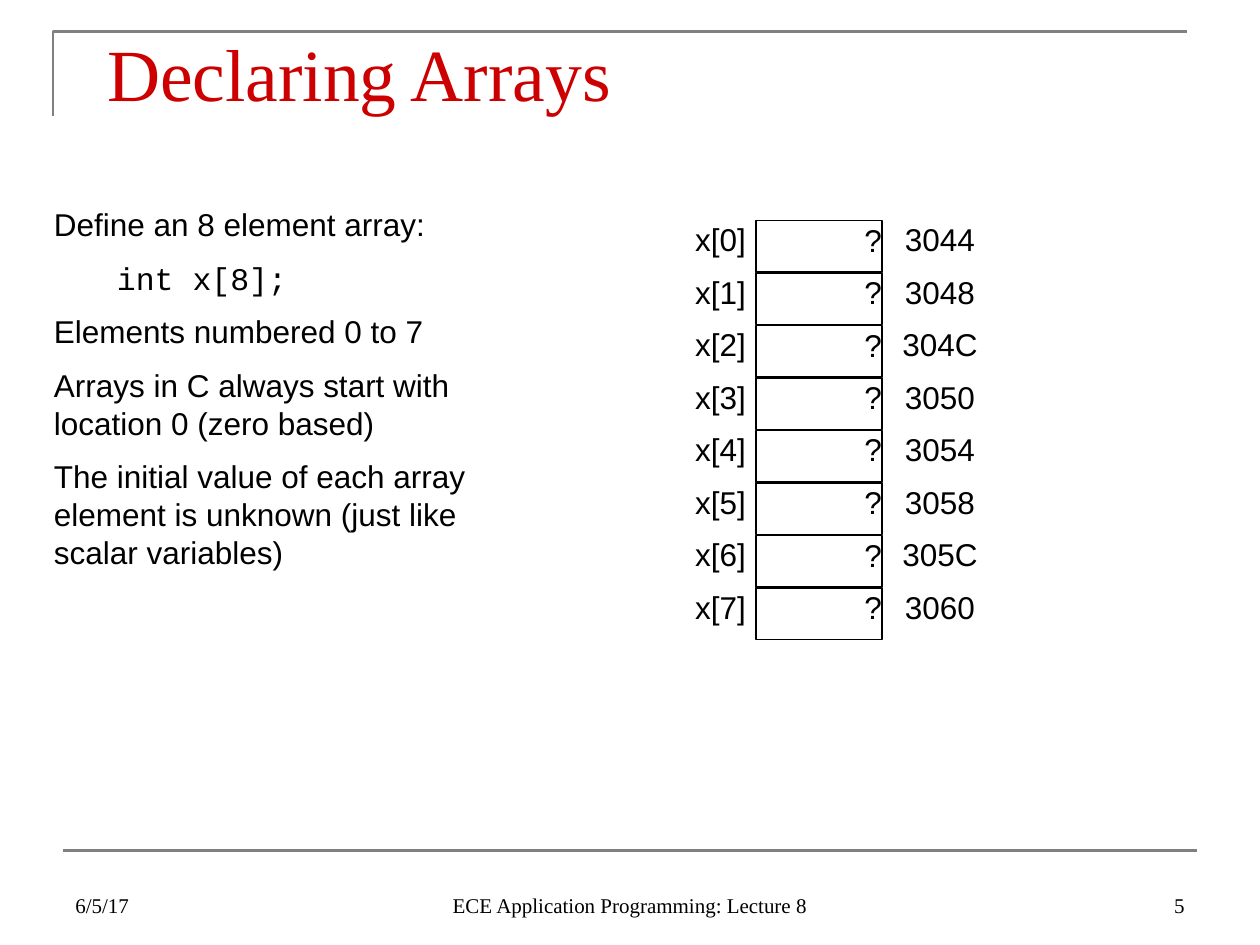
from lxml import etree
from pptx import Presentation
from pptx.dml.color import RGBColor
from pptx.enum.shapes import MSO_CONNECTOR, MSO_SHAPE
from pptx.enum.text import MSO_ANCHOR, MSO_AUTO_SIZE, PP_ALIGN
from pptx.oxml.ns import qn
from pptx.util import Inches, Pt

LEFT, CENTER, RIGHT = PP_ALIGN.LEFT, PP_ALIGN.CENTER, PP_ALIGN.RIGHT
TOP, BOTTOM = MSO_ANCHOR.TOP, MSO_ANCHOR.BOTTOM
NO_AUTOSIZE = MSO_AUTO_SIZE.NONE
RECTANGLE = MSO_SHAPE.RECTANGLE
STRAIGHT = MSO_CONNECTOR.STRAIGHT

BLACK, GRAY, RED = "000000", "808080", "CC0000"
BODY = {"name": "Arial", "size": Pt(18)}
CODE = {"name": "Courier New", "size": Pt(18)}
FOOTER = {"name": "Times New Roman", "size": Pt(12)}
TITLE = {"name": "Times New Roman", "size": Pt(42), "bold": False}
NO_MARGINS = dict.fromkeys(
    ("margin_left", "margin_top", "margin_right", "margin_bottom"), 0)

ADDRESSES = ["3044", "3048", "304C", "3050", "3054", "3058", "305C", "3060"]
NOTES = [
    [("Define an 8 element array:", BODY)],
    [("\t", BODY), ("int x[8];", CODE)],
    [("Elements numbered 0 to 7", BODY)],
    [("Arrays in C always start with location 0 (zero based)", BODY)],
    [("The initial value of each array element is unknown "
      "(just like scalar variables)", BODY)],
]


def color(value):
    return RGBColor.from_string(value)


def apply(target, values):
    for name, value in values.items():
        setattr(target, name, value)


def set_line(shape, value, width):
    shape.line.color.rgb = color(value)
    shape.line.width = Pt(width)


def write(para, text, style, ink=BLACK):
    span = para.add_run()
    span.text = text
    apply(span.font, style)
    span.font.color.rgb = color(ink)


def set_frame(shape, anchor=TOP, **values):
    frame = shape.text_frame
    apply(frame, {"word_wrap": True, "auto_size": NO_AUTOSIZE,
                  "vertical_anchor": anchor, **values})
    return frame


def add_label(page, box, text, style, align, anchor=TOP, **values):
    frame = set_frame(page.shapes.add_textbox(*box), anchor, **values)
    para = frame.paragraphs[0]
    para.alignment = align
    write(para, text, style)


def add_rules(page, left, top, width, height):
    builder = page.shapes.build_freeform(left, top + height)
    builder.add_line_segments([(left, top), (left + width, top)], close=False)
    corner = builder.convert_to_shape()
    corner.shadow.inherit = False
    corner.fill.background()
    set_line(corner, GRAY, 1.5)
    rule = page.shapes.add_connector(
        STRAIGHT, Inches(0.5), Inches(6.75), Inches(9.5), Inches(6.75))
    set_line(rule, GRAY, 1.5)
    etree.SubElement(rule._element.spPr, qn("a:effectLst"))


def add_title(page, left, top, width, height):
    title = page.shapes.title
    apply(title, {"left": left, "top": top, "width": width, "height": height})
    para = set_frame(title).paragraphs[0]
    para.alignment = LEFT
    write(para, "Declaring Arrays", TITLE, RED)


def add_notes(page, left, top, width, height):
    frame = set_frame(page.shapes.add_textbox(left, top, width, height))
    for index, spans in enumerate(NOTES):
        para = frame.add_paragraph() if index else frame.paragraphs[0]
        if index:
            para.space_before = Pt(9)
        for text, style in spans:
            write(para, text, style)


def add_array(page, left, top, width, height):
    pitch = height // len(ADDRESSES)
    label_width, cell_width = Inches(0.92), Inches(1)
    cell_left = left + Inches(1)
    address_left = left + width - label_width
    for index, address in enumerate(ADDRESSES):
        row = top + index * pitch
        add_label(page, (left, row, label_width, Inches(0.4)),
                  f"x[{index}]", BODY, RIGHT, **NO_MARGINS)
        cell = page.shapes.add_shape(
            RECTANGLE, cell_left, row, cell_width, Inches(0.41))
        cell.shadow.inherit = False
        cell.fill.background()
        set_line(cell, BLACK, 0.75)
        para = set_frame(cell, **NO_MARGINS).paragraphs[0]
        para.alignment = RIGHT
        write(para, "?", BODY)
        add_label(page, (address_left, row, label_width, Inches(0.4)),
                  address, BODY, CENTER, **NO_MARGINS)


def add_footer(page, left, top, width, height):
    side, middle = Inches(2.33), Inches(3.17)
    parts = [
        ("6/5/17", left, side, LEFT),
        ("ECE Application Programming: Lecture 8",
         left + (width - middle) // 2, middle, CENTER),
        ("5", left + width - side, side, RIGHT),
    ]
    for text, x, part_width, align in parts:
        add_label(page, (x, top, part_width, height),
                  text, FOOTER, align, BOTTOM)


def main():
    deck = Presentation()
    deck.slide_width, deck.slide_height = Inches(10), Inches(7.5)
    page = deck.slides.add_slide(deck.slide_layouts[5])
    add_rules(page, Inches(0.42), Inches(0.25), Inches(9), Inches(0.67))
    add_title(page, Inches(0.75), Inches(0.17), Inches(8.5), Inches(0.58))
    add_array(page, Inches(5), Inches(1.75), Inches(2.92), Inches(10) // 3)
    add_notes(page, Inches(0.33), Inches(1.58), Inches(3.83), Inches(3.13))
    add_footer(page, Inches(0.5), Inches(6.83), Inches(9), Inches(0.5))
    deck.save("out.pptx")


if __name__ == "__main__":
    main()
